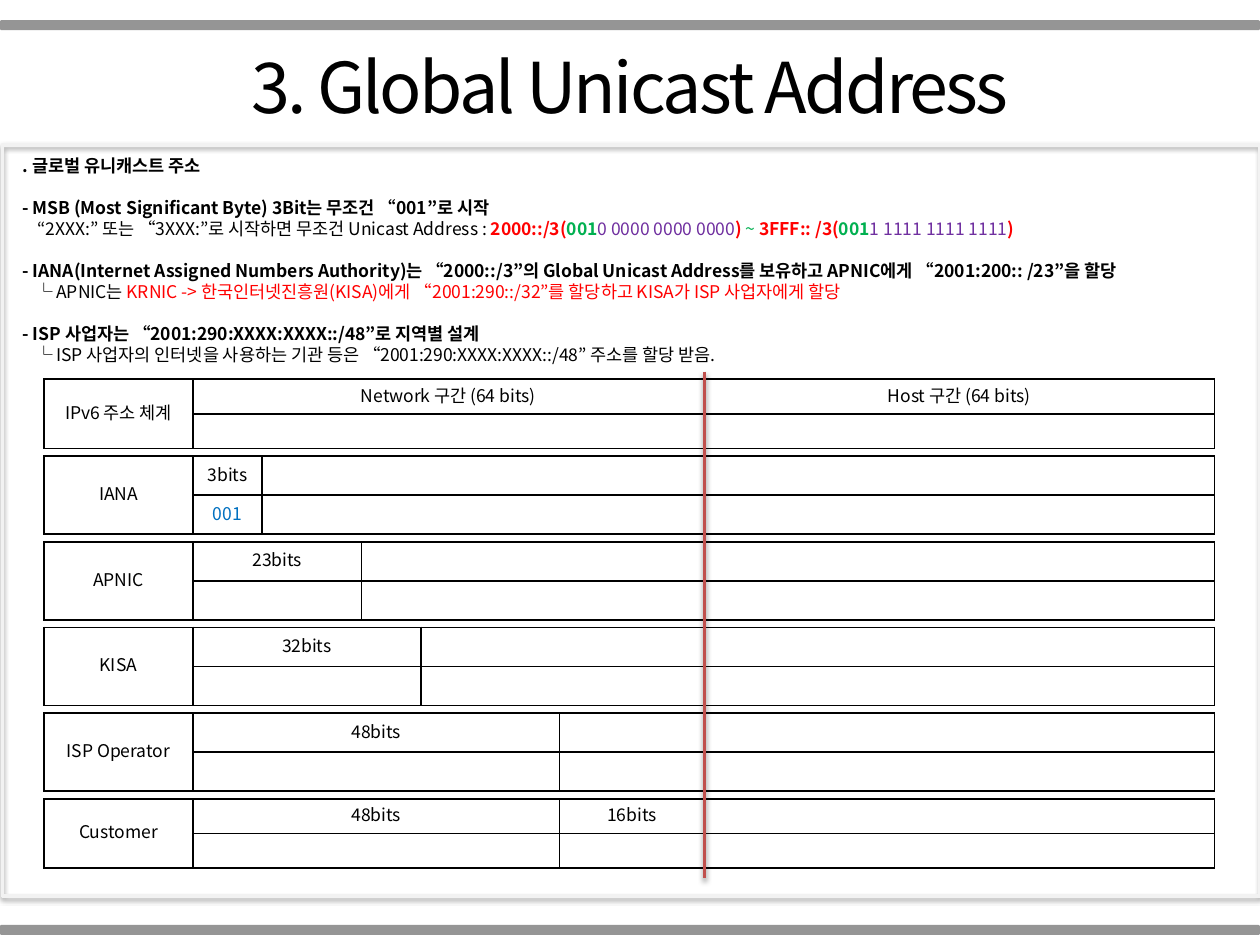
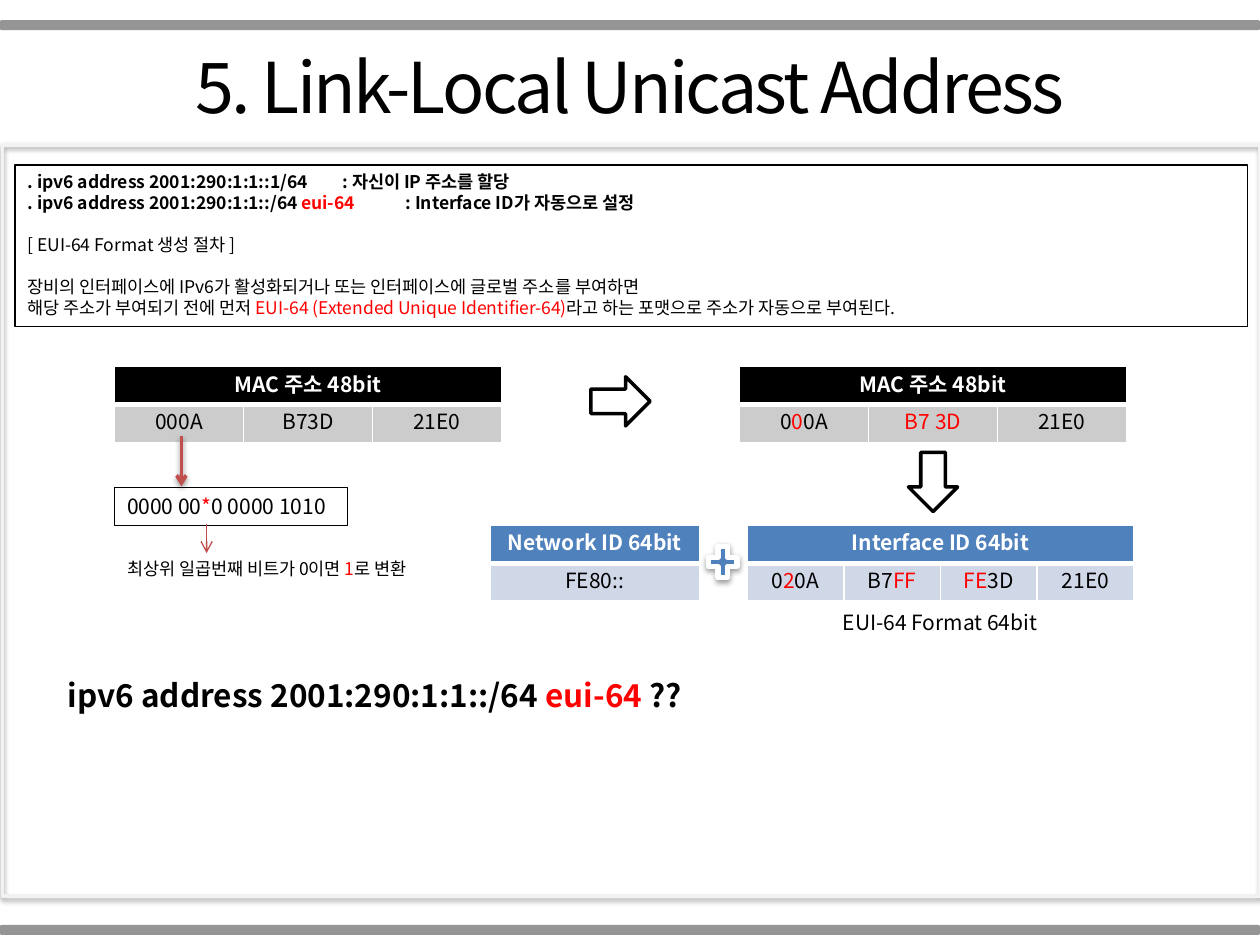
from lxml.etree import SubElement
from pptx import Presentation
from pptx.dml.color import RGBColor
from pptx.enum.shapes import MSO_CONNECTOR, MSO_SHAPE
from pptx.enum.text import MSO_ANCHOR, PP_ALIGN
from pptx.oxml.ns import qn
from pptx.util import Inches, Pt

FONT = "Noto Sans CJK KR"
BLACK = RGBColor(0x00, 0x00, 0x00)
WHITE = RGBColor(0xFF, 0xFF, 0xFF)
RED = RGBColor(0xFF, 0x00, 0x00)
GREEN = RGBColor(0x00, 0xB0, 0x50)
PURPLE = RGBColor(0x70, 0x30, 0xA0)
SKY = RGBColor(0x00, 0x70, 0xC0)
BLUE = RGBColor(0x4F, 0x81, 0xBD)
PALE_BLUE = RGBColor(0xD0, 0xD8, 0xE8)
BRICK = RGBColor(0xC0, 0x50, 0x4D)
DARK_BRICK = RGBColor(0xBF, 0x4C, 0x48)
BAND_GRAY = RGBColor(0x80, 0x80, 0x80)
CELL_GRAY = RGBColor(0xCC, 0xCC, 0xCC)
FRAME_GRAY = RGBColor(0xF2, 0xF2, 0xF2)


def write(tf, *runs, size=10, color=BLACK, bold=False, align=PP_ALIGN.LEFT,
          before=0, indent=0, spacing=0):
    """Add one paragraph; a run is a text or (text, color[, bold])."""
    p = tf.paragraphs[0]
    if p.runs:
        p = tf.add_paragraph()
    p.alignment = align
    p.line_spacing = Pt(size * 1.2)
    p.space_before = Pt(before)
    if indent:
        p._p.get_or_add_pPr().set("marL", str(Inches(indent)))
    for run in runs:
        text, run_color, run_bold = ((run,) if isinstance(run, str) else run) + (color, bold)[
            0 if isinstance(run, str) else len(run) - 1:]
        r = p.add_run()
        r.text = text
        r.font.name, r.font.size, r.font.bold = FONT, Pt(size), run_bold
        r.font.color.rgb = run_color
        rPr = r._r.get_or_add_rPr()
        SubElement(rPr, qn("a:ea"), typeface=FONT)
        if spacing:
            rPr.set("spc", str(int(spacing * 100)))
    if not runs:
        SubElement(p._p, qn("a:endParaRPr"), sz=str(size * 100))


def add_shadow(sp):
    """Put a soft drop shadow on a shape or connector."""
    effects = sp._element.spPr.find(qn("a:effectLst"))
    shadow = SubElement(effects, qn("a:outerShdw"), blurRad="40000", dist="20000",
                        dir="5400000", rotWithShape="0")
    clr = SubElement(shadow, qn("a:srgbClr"), val="000000")
    SubElement(clr, qn("a:alpha"), val="38000")


def add_box(s, kind, left, top, width, height, fill=None, line=None, weight=1):
    """Add a preset shape with the given fill and outline."""
    sp = s.shapes.add_shape(kind, Inches(left), Inches(top), Inches(width), Inches(height))
    sp.shadow.inherit = False
    if fill is None:
        sp.fill.background()
    else:
        sp.fill.solid()
        sp.fill.fore_color.rgb = fill
    if line is None:
        sp.line.fill.background()
    else:
        sp.line.color.rgb = line
        sp.line.width = Pt(weight)
    sp.text_frame.vertical_anchor = MSO_ANCHOR.TOP
    return sp


def add_text(s, left, top, width, height, wrap=True):
    """Add a text box and return its text frame."""
    tf = s.shapes.add_textbox(Inches(left), Inches(top), Inches(width), Inches(height)).text_frame
    tf.word_wrap = wrap
    return tf


def add_line(s, x, top, bottom, color, weight, arrow=False, shadow=True):
    """Add a vertical line, with an arrowhead at its foot if asked."""
    line = s.shapes.add_connector(MSO_CONNECTOR.STRAIGHT, Inches(x), Inches(top),
                                  Inches(x), Inches(bottom))
    line.line.color.rgb = color
    line.line.width = Pt(weight)
    spPr = line._element.spPr
    if arrow:
        SubElement(spPr.find(qn("a:ln")), qn("a:tailEnd"), type="arrow")
    SubElement(spPr, qn("a:effectLst"))
    if shadow:
        add_shadow(line)


def style_cell(cell, fill, border, top=1, bottom=1):
    """Set the borders and fill of a table cell."""
    tcPr = cell._tc.get_or_add_tcPr()
    for side, weight in (("L", 1), ("R", 1), ("T", top), ("B", bottom)):
        ln = SubElement(tcPr, qn(f"a:ln{side}"), w=str(Pt(weight)))
        SubElement(SubElement(ln, qn("a:solidFill")), qn("a:srgbClr"), val=str(border))
    if fill is None:
        cell.fill.background()
    else:
        cell.fill.solid()
        cell.fill.fore_color.rgb = fill


def add_grid(s, left, top, widths, row_height):
    """Add a plain two-row table with the given column widths."""
    table = s.shapes.add_table(2, len(widths), Inches(left), Inches(top),
                               Inches(sum(widths)), Inches(2 * row_height)).table
    table.first_row = table.horz_banding = False
    for column, width in zip(table.columns, widths):
        column.width = Inches(width)
    for row in table.rows:
        row.height = Inches(row_height)
    return table


def add_prefix_table(s, left, top, row_height, owner, fields, values=()):
    """Add an owner beside its address fields, with values below them."""
    label_width, fields_width = 1.18, 8.11
    widths = [width for _, width in fields]
    rest = fields_width - sum(widths)
    if rest > 0.01:
        widths.append(rest)
    table = add_grid(s, left, top, [label_width] + widths, row_height)
    table.cell(0, 0).merge(table.cell(1, 0))
    texts = {(0, 0): (owner,)}
    texts.update({(0, i): (name,) for i, (name, _) in enumerate(fields, 1)})
    texts.update({(1, i): (value,) for i, value in enumerate(values, 1)})
    for row in range(2):
        for col in range(len(widths) + 1):
            cell = table.cell(row, col)
            style_cell(cell, None, BLACK)
            cell.vertical_anchor = MSO_ANCHOR.MIDDLE
            write(cell.text_frame, *texts.get((row, col), ()), align=PP_ALIGN.CENTER)


def add_address_table(s, left, top, width, heading, parts, head_fill, body_fill):
    """Add a heading over equal cells that hold the address parts."""
    count = len(parts)
    table = add_grid(s, left, top, [width / count] * count, 0.3)
    if count > 1:
        table.cell(0, 0).merge(table.cell(0, count - 1))
    for col, runs in enumerate(parts):
        style_cell(table.cell(0, col), head_fill, WHITE, bottom=3)
        style_cell(table.cell(1, col), body_fill, WHITE, top=3)
        write(table.cell(1, col).text_frame, *runs, size=12, align=PP_ALIGN.CENTER)
    write(table.cell(0, 0).text_frame, heading, size=12, color=WHITE, bold=True,
          align=PP_ALIGN.CENTER)


def add_base(prs, title):
    """Add a slide with its bands, title and content frame."""
    s = prs.slides.add_slide(prs.slide_layouts[6])
    write(add_text(s, 0, 0.3, 10, 0.77), title, size=40, align=PP_ALIGN.CENTER, spacing=-1.5)
    for top in (0.16, 7.34):
        band = add_box(s, MSO_SHAPE.ROUNDED_RECTANGLE, 0, top, 10, 0.08, BAND_GRAY)
        clr = band._element.spPr.find(qn("a:solidFill")).find(qn("a:srgbClr"))
        SubElement(clr, qn("a:alpha"), val="83000")
    add_shadow(add_box(s, MSO_SHAPE.RECTANGLE, 0.02, 1.15, 9.98, 5.96,
                       line=FRAME_GRAY, weight=2))
    return s


def add_global_notes(s, left, top):
    """Write the notes on global unicast addresses."""
    tf = add_text(s, left, top, 9.94, 1.78)
    write(tf, ". 글로벌 유니캐스트 주소", bold=True)
    write(tf, "- MSB (Most Significant Byte) 3Bit는 무조건 “001”로 시작", bold=True, before=12)
    write(tf, "“2XXX:” 또는 “3XXX:”로 시작하면 무조건 Unicast Address : ",
          ("2000::/3(", RED, True), ("001", GREEN, True), ("0 0000 0000 0000", PURPLE),
          (")", RED, True), (" ~ ", GREEN), ("3FFF:: /3(", RED, True), ("001", GREEN, True),
          ("1 1111 1111 1111", PURPLE), (")", RED, True), indent=0.12)
    write(tf, "- IANA(Internet Assigned Numbers Authority)는 “2000::/3”의 Global Unicast "
          "Address를 보유하고 APNIC에게 “2001:200:: /23”을 할당", bold=True, before=12)
    write(tf, "└ APNIC는 ", ("KRNIC -> 한국인터넷진흥원(KISA)에게 “2001:290::/32”를 할당하고 "
          "KISA가 ISP 사업자에게 할당", RED), indent=0.1)
    write(tf, "- ISP 사업자는 “2001:290:XXXX:XXXX::/48”로 지역별 설계", bold=True, before=12)
    write(tf, "└ ISP 사업자의 인터넷을 사용하는 기관 등은 “2001:290:XXXX:XXXX::/48” "
          "주소를 할당 받음.", indent=0.1)


def add_prefix_tables(s, left, top):
    """Stack the prefix tables and mark the network and host boundary."""
    line_top = top - 0.06
    levels = (
        (0.275, "IPv6 주소 체계", [("Network 구간 (64 bits)", 4.055),
                               ("Host 구간 (64 bits)", 4.055)], ()),
        (0.31, "IANA", [("3bits", 0.55)], [("001", SKY)]),
        (0.31, "APNIC", [("23bits", 1.34)], ()),
        (0.31, "KISA", [("32bits", 1.81)], ()),
        (0.31, "ISP Operator", [("48bits", 2.91)], ()),
        (0.275, "Customer", [("48bits", 2.91), ("16bits", 1.15)], ()),
    )
    for row_height, owner, fields, values in levels:
        add_prefix_table(s, left, top, row_height, owner, fields, values)
        top += 2 * row_height + 0.06
    add_line(s, left + 5.24, line_top, line_top + 4.02, BRICK, 2)


def add_eui_notes(s, left, top):
    """Write the outlined notes on the EUI-64 format."""
    box = add_box(s, MSO_SHAPE.RECTANGLE, left, top, 9.78, 1.28, line=BLACK, weight=0.75)
    tf = box.text_frame
    tf.word_wrap = True
    write(tf, ". ipv6 address 2001:290:1:1::1/64\t: 자신이 IP 주소를 할당", bold=True)
    write(tf, ". ipv6 address 2001:290:1:1::/64 ", ("eui-64", RED),
          "\t: Interface ID가 자동으로 설정", bold=True)
    write(tf, "[ EUI-64 Format 생성 절차 ]", before=12)
    write(tf, "장비의 인터페이스에 IPv6가 활성화되거나 또는 인터페이스에 글로벌 주소를 부여하면", before=12)
    write(tf, "해당 주소가 부여되기 전에 먼저 ", ("EUI-64 (Extended Unique Identifier-64)", RED),
          "라고 하는 포맷으로 주소가 자동으로 부여된다.")


def add_bit_flip(s, left, top):
    """Show the MAC address and the bit that is flipped."""
    add_address_table(s, left, top, 3.07, "MAC 주소 48bit", [["000A"], ["B73D"], ["21E0"]],
                      BLACK, CELL_GRAY)
    add_line(s, left + 0.53, top + 0.55, top + 0.95, BRICK, 2, arrow=True)
    bits = add_box(s, MSO_SHAPE.RECTANGLE, left, top + 0.96, 1.85, 0.3, line=BLACK, weight=0.25)
    bits.text_frame.word_wrap = False
    write(bits.text_frame, "0000 00", ("*", RED), "0 0000 1010", size=12)
    write(add_text(s, left, top + 1.47, 2.71, 0.27, wrap=False),
          "최상위 일곱번째 비트가 0이면 ", ("1", RED), "로 변환")
    add_line(s, left + 0.73, top + 1.25, top + 1.48, DARK_BRICK, 0.75, arrow=True, shadow=False)


def add_interface_id(s, left, top):
    """Show the MAC address turning into the network and interface IDs."""
    add_address_table(s, left + 1.98, top, 3.07, "MAC 주소 48bit",
                      [["0", ("0", RED), "0A"], [("B7 3D", RED)], ["21E0"]], BLACK, CELL_GRAY)
    for x, y, angle in ((0.8, 0.08, 0), (3.28, 0.72, 90)):
        arrow = add_box(s, MSO_SHAPE.RIGHT_ARROW, left + x, top + y, 0.47, 0.39, WHITE, BLACK, 2)
        arrow.rotation = angle
    id_top = top + 1.26
    add_address_table(s, left + 2.04, id_top, 3.07, "Interface ID 64bit",
                      [["0", ("2", RED), "0A"], ["B7", ("FF", RED)], [("FE", RED), "3D"],
                       ["21E0"]], BLUE, PALE_BLUE)
    write(add_text(s, left + 2.7, id_top + 0.62, 1.75, 0.3, wrap=False),
          "EUI-64 Format 64bit", size=12)
    add_address_table(s, left, id_top, 1.66, "Network ID 64bit", [["FE80::"]], BLUE, PALE_BLUE)
    add_shadow(add_box(s, MSO_SHAPE.MATH_PLUS, left + 1.69, id_top + 0.12, 0.31, 0.34,
                       BLUE, WHITE, 3))


def build_global_slide(prs):
    """Build the global unicast address slide."""
    s = add_base(prs, "3. Global Unicast Address")
    add_global_notes(s, 0.08, 1.18)
    add_prefix_tables(s, 0.35, 3.01)


def build_link_local_slide(prs):
    """Build the link-local unicast address slide."""
    s = add_base(prs, "5. Link-Local Unicast Address")
    add_eui_notes(s, 0.12, 1.31)
    add_bit_flip(s, 0.91, 2.91)
    add_interface_id(s, 3.89, 2.91)
    write(add_text(s, 0.44, 5.32, 5.11, 0.4, wrap=False),
          "ipv6 address 2001:290:1:1::/64 ", ("eui-64 ", RED), "??", size=18, bold=True)


def main():
    """Build both slides and save the deck."""
    prs = Presentation()
    prs.slide_width, prs.slide_height = Inches(10), Inches(7.5)
    build_global_slide(prs)
    build_link_local_slide(prs)
    prs.save("out.pptx")


if __name__ == "__main__":
    main()
